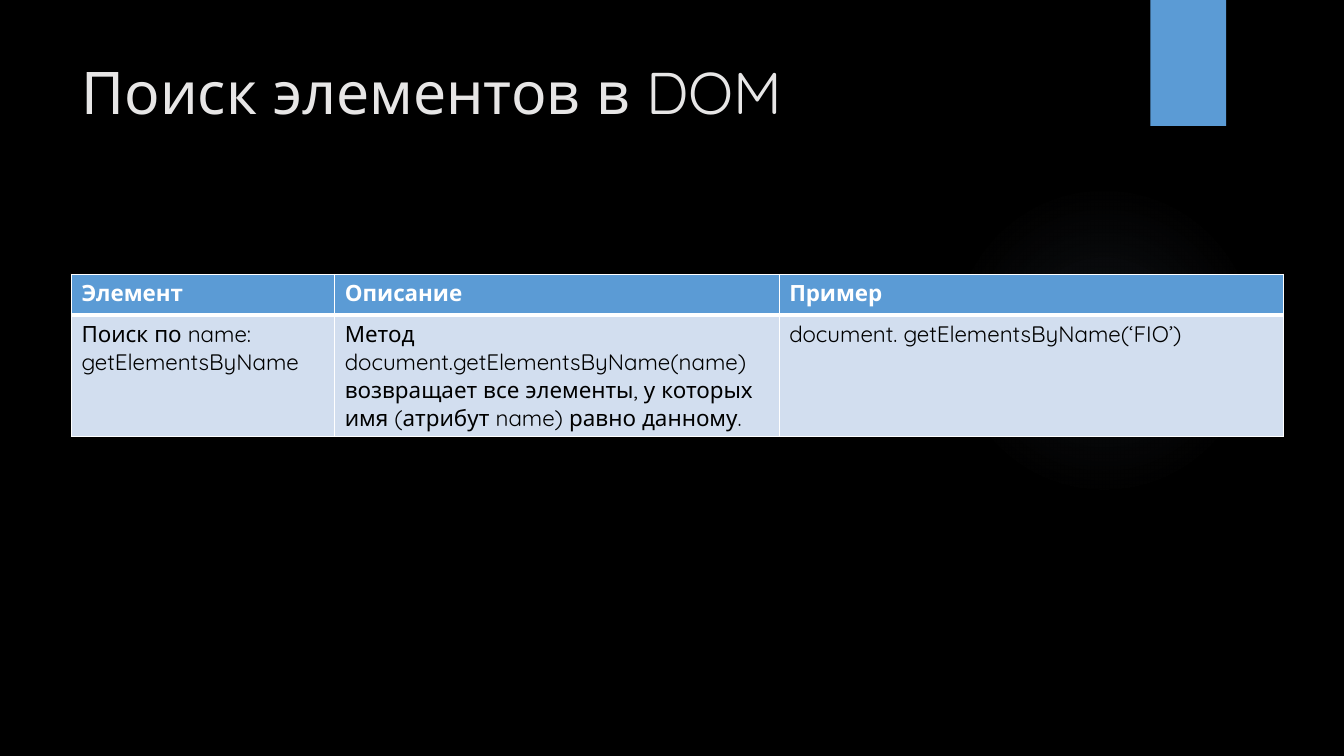
"""Build the slide about finding DOM elements by name."""
from lxml import etree
from pptx import Presentation
from pptx.dml.color import RGBColor
from pptx.enum.shapes import MSO_SHAPE
from pptx.oxml import parse_xml
from pptx.util import Pt

OVAL = MSO_SHAPE.OVAL
RECTANGLE = MSO_SHAPE.RECTANGLE
NAMESPACE = "http://schemas.openxmlformats.org/drawingml/2006/main"
FONT = "Quicksand"
BLUE = "5B9BD5"
WHITE = "FFFFFF"
GLOW = "8497B0"


def color(value):
    return RGBColor.from_string(value)


def style_text(text_frame, size, value, bold=False):
    for paragraph in text_frame.paragraphs:
        for run in paragraph.runs:
            run.font.name = FONT
            run.font.size = Pt(size)
            run.font.bold = bold
            run.font.color.rgb = color(value)


presentation = Presentation()
presentation.slide_width = Pt(960)
presentation.slide_height = Pt(540)
slide = presentation.slides.add_slide(presentation.slide_layouts[6])
slide.background.fill.solid()
slide.background.fill.fore_color.rgb = color("000000")

glow = slide.shapes.add_shape(OVAL, Pt(677.5), Pt(131.8), Pt(221.8), Pt(221.8))
glow.shadow.inherit = False
glow.line.fill.background()
glow.fill.gradient()
stops = "".join(
    f'<a:gs pos="{position * 1000}"><a:srgbClr val="{GLOW}">'
    f'<a:alpha val="{opacity * 1000}"/></a:srgbClr></a:gs>'
    for position, opacity in [(0, 7), (36, 6), (69, 0), (100, 0)]
)
gradient = parse_xml(
    f'<a:gradFill xmlns:a="{NAMESPACE}" rotWithShape="1"><a:gsLst>{stops}</a:gsLst>'
    '<a:path path="circle"><a:fillToRect l="50000" t="50000" r="50000" b="50000"/>'
    "</a:path></a:gradFill>"
)
properties = glow._element.spPr
properties.replace(properties.find(f"{{{NAMESPACE}}}gradFill"), gradient)

tab = slide.shapes.add_shape(RECTANGLE, Pt(821.8), Pt(0), Pt(54), Pt(90))
tab.shadow.inherit = False
tab.fill.solid()
tab.fill.fore_color.rgb = color(BLUE)
tab.line.fill.background()

title = slide.shapes.add_textbox(Pt(51.1), Pt(36), Pt(741), Pt(110))
title.text_frame.word_wrap = True
title.text_frame.text = "Поиск элементов в DOM"
style_text(title.text_frame, 42, "E7E6E6")

rows = [
    ["Элемент", "Описание", "Пример"],
    [
        "Поиск по name: getElementsByName",
        "Метод document.getElementsByName(name) возвращает все элементы, "
        "у которых имя (атрибут name) равно данному.",
        "document. getElementsByName(‘FIO’)",
    ],
]
column_widths = [188, 317.5, 360]
row_heights = [29, 87]
row_styles = [(BLUE, WHITE, True), ("D2DEEF", "000000", False)]
border_widths = [
    {"lnL": 1, "lnR": 1, "lnT": 1, "lnB": 3},
    {"lnL": 1, "lnR": 1, "lnT": 3, "lnB": 1},
]

table = slide.shapes.add_table(
    2, 3, Pt(51.1), Pt(196), Pt(sum(column_widths)), Pt(sum(row_heights))
).table
for column, width in zip(table.columns, column_widths):
    column.width = Pt(width)
for row, height in zip(table.rows, row_heights):
    row.height = Pt(height)

for row, texts, (fill, text_color, bold), borders in zip(
    table.rows, rows, row_styles, border_widths
):
    for cell, text in zip(row.cells, texts):
        cell.text_frame.text = text
        style_text(cell.text_frame, 16, text_color, bold)
        cell_properties = cell._tc.get_or_add_tcPr()
        for side, width in borders.items():
            line = etree.SubElement(
                cell_properties, f"{{{NAMESPACE}}}{side}", w=str(Pt(width))
            )
            line_fill = etree.SubElement(line, f"{{{NAMESPACE}}}solidFill")
            etree.SubElement(line_fill, f"{{{NAMESPACE}}}srgbClr", val=WHITE)
        cell.fill.solid()
        cell.fill.fore_color.rgb = color(fill)

presentation.save("out.pptx")
